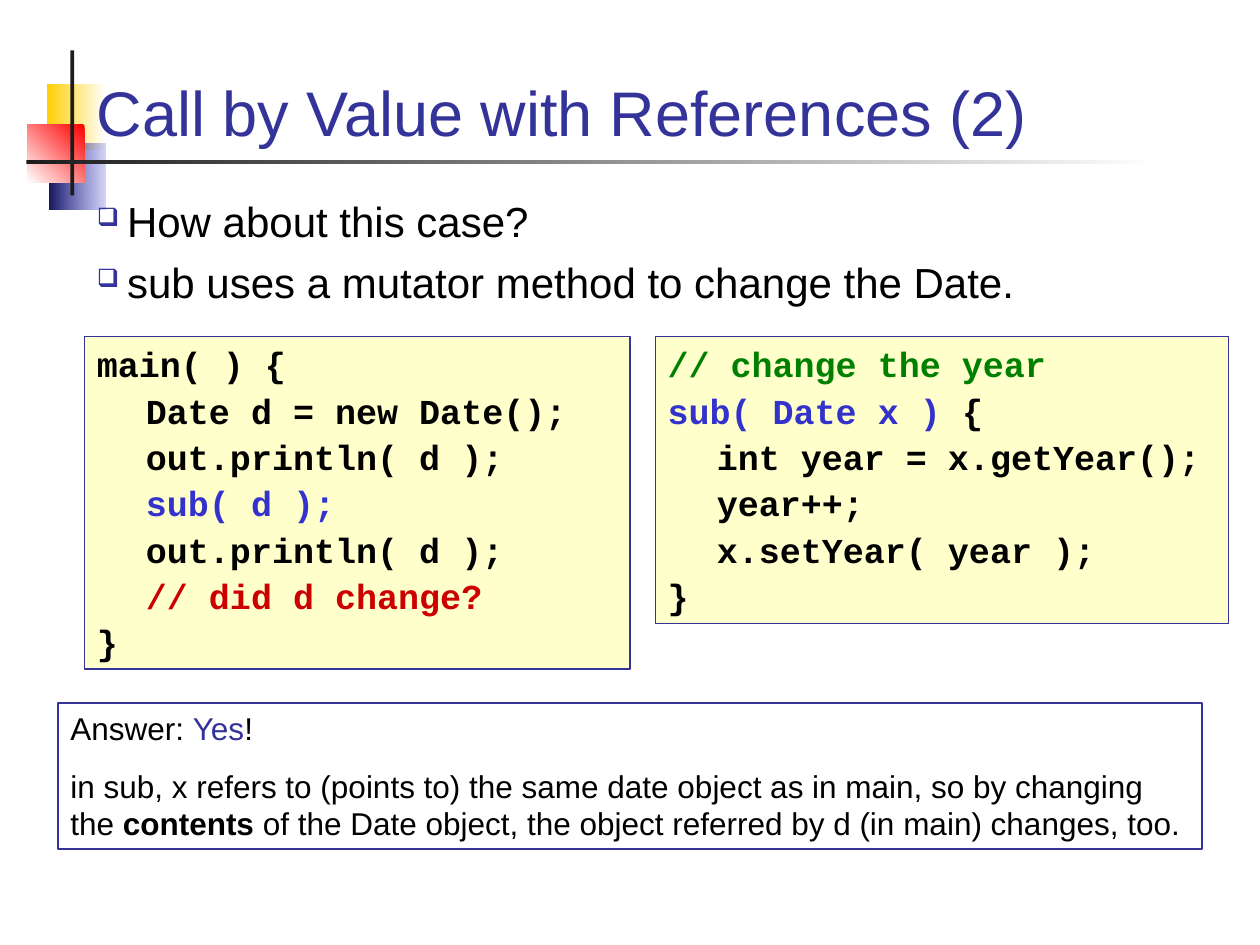
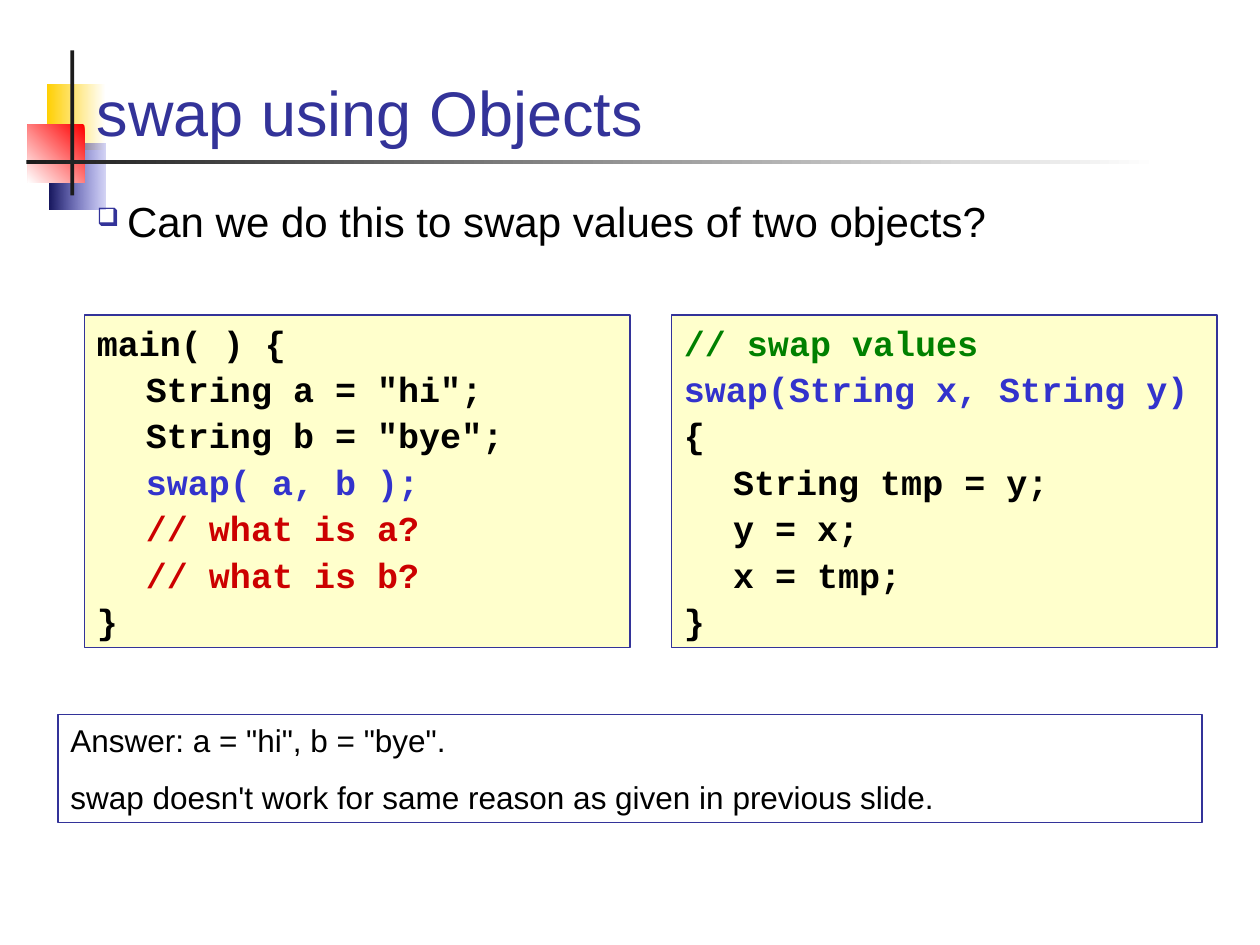
from lxml import etree
from pptx import Presentation
from pptx.dml.color import RGBColor
from pptx.enum.shapes import MSO_SHAPE
from pptx.enum.text import MSO_ANCHOR, MSO_AUTO_SIZE, PP_ALIGN
from pptx.oxml.ns import qn
from pptx.util import Inches, Pt

RECTANGLE = MSO_SHAPE.RECTANGLE
TOP, BOTTOM = MSO_ANCHOR.TOP, MSO_ANCHOR.BOTTOM
GROW = MSO_AUTO_SIZE.SHAPE_TO_FIT_TEXT
LEFT = PP_ALIGN.LEFT

BLACK, WHITE, INK = "000000", "FFFFFF", "1C1C1C"
NAVY, BLUE, RED, GREEN = "333399", "3333CC", "CC0000", "008000"
CREAM = "FFFFCC"
TITLE = {"font": "Arial", "size": 36, "colour": NAVY}
BODY = {"font": "Arial", "size": 24, "before": 6, "bullet": True}
CODE = {"font": "Courier New", "size": 20, "before": 2.5, "bold": True, "tab": 0.39}
ANSWER = {"font": "Arial", "size": 18, "before": 11.2}

ORNAMENTS = [
    ((0.37, 0.67, 0.47, 0.52), "FFCF01", WHITE, 0, None),
    ((0.39, 1.14, 0.45, 0.52), "17175E", BLUE, 0, 20),
    ((0.22, 0.99, 0.45, 0.46), "FF0000", WHITE, 225, None),
    ((0.56, 0.4, 0.03, 1.15), INK, INK, 0, None),
    ((0.21, 1.27, 8.99, 0.03), INK, WHITE, 0, None),
]

SLIDES = [
    {
        "title": "Call by Value with References (2)",
        "bullets": ["How about this case?",
                    "sub uses a mutator method to change the Date."],
        "bullets_height": 1.17,
        "code_top": 2.67,
        "code": [
            ((0.67, 4.33, 2.64), [
                "main( ) {",
                "\tDate d = new Date();",
                "\tout.println( d );",
                [("\tsub( d );", BLUE)],
                "\tout.println( d );",
                [("\t// did d change?", RED)],
                "}",
            ]),
            ((5.2, 4.55, 2.28), [
                [("// change the year", GREEN)],
                [("sub( Date x )", BLUE), (" {", BLACK)],
                "\tint year = x.getYear();",
                "\tyear++;",
                "\tx.setYear( year );",
                "}",
            ]),
        ],
        "answer_place": (5.58, 1.16),
        "answer": [
            [("Answer: ", BLACK), ("Yes", NAVY), ("!", BLACK)],
            [("in sub, x refers to (points to) the same date object as in main, "
              "so by changing the ", BLACK),
             ("contents", BLACK, True),
             (" of the Date object, the object referred by d (in main) changes, too.",
              BLACK)],
        ],
    },
    {
        "title": "swap using Objects",
        "bullets": ["Can we do this to swap values of two objects?"],
        "bullets_height": 0.67,
        "code_top": 2.5,
        "code": [
            ((0.67, 4.33, 2.64), [
                "main( ) {",
                '\tString a = "hi";',
                '\tString b = "bye";',
                [("\tswap( a, b );", BLUE)],
                [("\t// what is a?", RED)],
                [("\t// what is b?", RED)],
                "}",
            ]),
            ((5.33, 4.33, 2.64), [
                [("// swap values", GREEN)],
                [("swap(String x, String y)", BLUE)],
                "{",
                "\tString tmp = y;",
                "\ty = x;",
                "\tx = tmp;",
                "}",
            ]),
        ],
        "answer_place": (5.67, 0.86),
        "answer": ['Answer: a = "hi", b = "bye".',
                   "swap doesn't work for same reason as given in previous slide."],
    },
]


def rgb(colour):
    return RGBColor.from_string(colour)


def add_element(parent, tag, **attributes):
    return etree.SubElement(parent, qn(tag), attributes)


def add_bullet(para):
    properties = para._p.get_or_add_pPr()
    properties.set("marL", str(Inches(0.24)))
    properties.set("indent", str(-Inches(0.24)))
    add_element(add_element(properties, "a:buClr"), "a:srgbClr", val=NAVY)
    add_element(properties, "a:buSzPct", val="60000")
    add_element(properties, "a:buChar", char="❑")


def add_tab(para, position):
    tabs = add_element(para._p.get_or_add_pPr(), "a:tabLst")
    add_element(tabs, "a:tab", pos=str(Inches(position)), algn="l")


def write(box, lines, style, anchor=TOP):
    frame = box.text_frame
    frame.word_wrap = True
    frame.vertical_anchor = anchor
    for number, line in enumerate(lines):
        para = frame.add_paragraph() if number else frame.paragraphs[0]
        para.alignment = LEFT
        if style.get("bullet"):
            add_bullet(para)
        if "tab" in style:
            add_tab(para, style["tab"])
        if number:
            para.space_before = Pt(style["before"])
        spans = [(line, style.get("colour", BLACK))] if isinstance(line, str) else line
        for text, colour, *bold in spans:
            span = para.add_run()
            span.text = text
            span.font.name = style["font"]
            span.font.size = Pt(style["size"])
            span.font.bold = bool(bold) or style.get("bold", False)
            span.font.color.rgb = rgb(colour)


def add_text(page, place, lines, style, anchor=TOP):
    box = page.shapes.add_textbox(*map(Inches, place))
    write(box, lines, style, anchor)


def add_rectangle(page, place):
    box = page.shapes.add_shape(RECTANGLE, *map(Inches, place))
    box.shadow.inherit = False
    return box


def add_framed_text(page, place, lines, style, fill=None):
    box = add_rectangle(page, place)
    if fill:
        box.fill.solid()
        box.fill.fore_color.rgb = rgb(fill)
    else:
        box.fill.background()
    box.line.color.rgb = rgb(NAVY)
    box.line.width = Pt(0.75)
    write(box, lines, style)
    box.text_frame.auto_size = GROW


def add_ornament(page, place, start, end, angle, end_opacity):
    box = add_rectangle(page, place)
    box.line.fill.background()
    if start == end:
        box.fill.solid()
        box.fill.fore_color.rgb = rgb(start)
        return
    box.fill.gradient()
    box.fill.gradient_angle = angle
    for stop, colour in zip(box.fill.gradient_stops, (start, end)):
        stop.color.rgb = rgb(colour)
    if end_opacity:
        end_colour = box.element.spPr.findall(".//" + qn("a:srgbClr"))[-1]
        add_element(end_colour, "a:alpha", val=str(end_opacity * 1000))


def build_slide(deck, content):
    page = deck.slides.add_slide(deck.slide_layouts[6])
    for ornament in ORNAMENTS:
        add_ornament(page, *ornament)
    add_text(page, (0.67, 0.28, 8.66, 0.95), [content["title"]], TITLE, BOTTOM)
    add_text(page, (0.67, 1.5, 8.66, content["bullets_height"]),
             content["bullets"], BODY)
    for (left, width, height), lines in content["code"]:
        add_framed_text(page, (left, content["code_top"], width, height),
                        lines, CODE, CREAM)
    top, height = content["answer_place"]
    add_framed_text(page, (0.46, top, 9.08, height), content["answer"], ANSWER)


def main():
    deck = Presentation()
    deck.slide_width, deck.slide_height = Inches(10), Inches(7.5)
    for content in SLIDES:
        build_slide(deck, content)
    deck.save("out.pptx")


if __name__ == "__main__":
    main()
